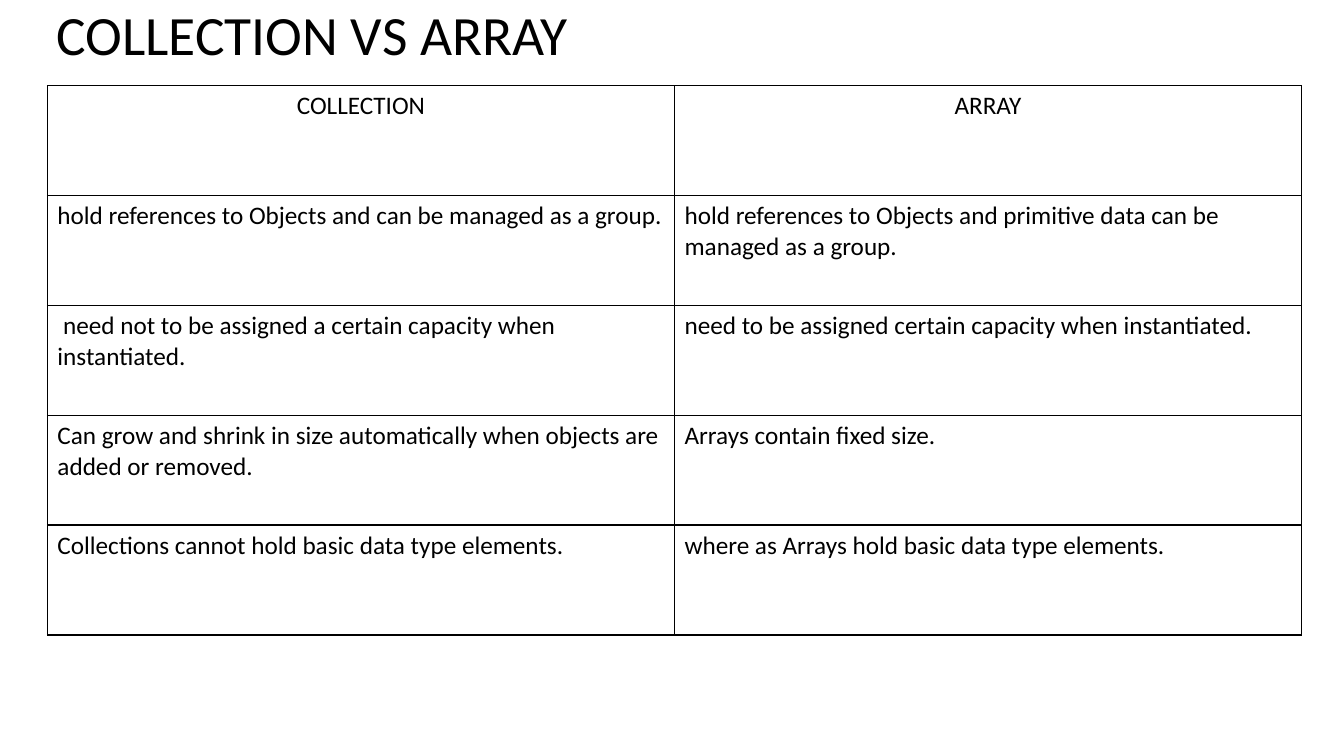
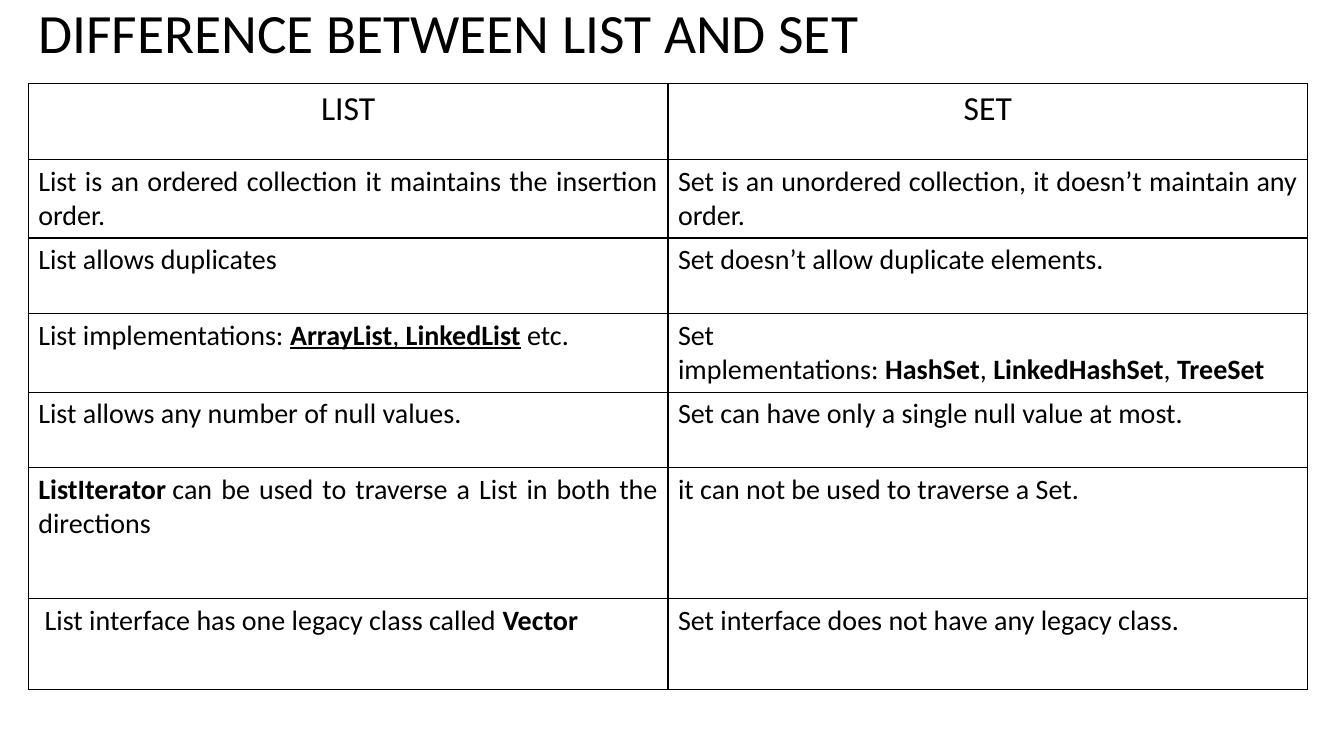
from typing import NamedTuple

from lxml import etree
from pptx import Presentation
from pptx.dml.color import RGBColor
from pptx.enum.text import MSO_ANCHOR, MSO_AUTO_SIZE, PP_ALIGN
from pptx.oxml.ns import qn
from pptx.util import Inches, Pt

BLACK = RGBColor(0x00, 0x00, 0x00)
FONT = "Calibri"
TITLE_SIZE = 39.6
BORDER_WIDTH = Pt(1)
BORDER_SIDES = ("a:lnL", "a:lnR", "a:lnT", "a:lnB")
LEFT, CENTER, JUSTIFY = PP_ALIGN.LEFT, PP_ALIGN.CENTER, PP_ALIGN.JUSTIFY
MIDDLE = MSO_ANCHOR.MIDDLE
NO_AUTOFIT = MSO_AUTO_SIZE.NONE
TITLE_ONLY = 5


class Box(NamedTuple):
    """A rectangle in inches."""
    left: float
    top: float
    width: float
    height: float

    def lengths(self):
        """Return the four sides as lengths."""
        return [Inches(side) for side in self]


class Span(NamedTuple):
    """A stretch of text with its own emphasis."""
    text: str
    bold: bool = False
    underline: bool = False


class TableStyle(NamedTuple):
    """Text sizes and body alignment of a comparison table."""
    header_size: int
    body_size: int
    body_align: int


COLLECTION_ROWS = [
    ("COLLECTION", "ARRAY"),
    ("hold references to Objects and can be managed as a group.",
     "hold references to Objects and primitive data can be managed as a group."),
    (" need not to be assigned a certain capacity when instantiated.",
     "need to be assigned certain capacity when instantiated."),
    ("Can grow and shrink in size automatically when objects are added or removed.",
     "Arrays contain fixed size."),
    ("Collections cannot hold basic data type elements.",
     "where as Arrays hold basic data type elements."),
]

LIST_ROWS = [
    ("LIST", "SET"),
    ("List is an ordered collection it maintains the insertion order.",
     "Set is an unordered collection, it doesn\u2019t maintain any order."),
    ("List allows duplicates", "Set doesn\u2019t allow duplicate elements."),
    ([Span("List implementations:\u00a0"),
      Span("ArrayList", bold=True, underline=True),
      Span(",\u00a0", underline=True),
      Span("LinkedList", bold=True, underline=True),
      Span("\u00a0etc.")],
     [Span("Set implementations:\u00a0"),
      Span("HashSet", bold=True),
      Span(",\u00a0"),
      Span("LinkedHashSet", bold=True),
      Span(",\u00a0"),
      Span("TreeSet\u00a0", bold=True)]),
    ("List allows any number of null values.",
     "Set can have only a single null value at most."),
    ([Span("ListIterator", bold=True),
      Span("\u00a0can be used to traverse a List in both the directions")],
     "it can not be used to traverse a Set.\u00a0"),
    ([Span("\u00a0List interface has one legacy class called\u00a0"),
      Span("Vector", bold=True)],
     "Set interface does not have any legacy class."),
]


def format_paragraph(para, size, align):
    """Apply the shared font and colour with the given size and alignment."""
    para.alignment = align
    para.font.name = FONT
    para.font.size = Pt(size)
    para.font.color.rgb = BLACK


def place_title(slide, text, box):
    """Move the title placeholder into the box and fill it."""
    title = slide.shapes.title
    title.left, title.top, title.width, title.height = box.lengths()
    frame = title.text_frame
    frame.text = text
    frame.word_wrap = True
    frame.auto_size = NO_AUTOFIT
    frame.vertical_anchor = MIDDLE
    para = frame.paragraphs[0]
    para.line_spacing = 0.9
    format_paragraph(para, TITLE_SIZE, LEFT)


def outline_cell(cell):
    """Draw a thin black border on all sides of a cell without fill."""
    properties = cell._tc.get_or_add_tcPr()
    for side in BORDER_SIDES:
        line = etree.SubElement(properties, qn(side), w=str(BORDER_WIDTH))
        fill = etree.SubElement(line, qn("a:solidFill"))
        etree.SubElement(fill, qn("a:srgbClr"), val=str(BLACK))
    cell.fill.background()


def fill_cell(cell, content, size, align):
    """Write plain text or a list of spans into a cell."""
    para = cell.text_frame.paragraphs[0]
    format_paragraph(para, size, align)
    spans = [Span(content)] if isinstance(content, str) else content
    for span in spans:
        run = para.add_run()
        run.text = span.text
        if span.bold:
            run.font.bold = True
        if span.underline:
            run.font.underline = True
    outline_cell(cell)


def add_comparison_table(slide, rows, row_heights, box, style):
    """Add a table with equal columns and a centred header row in the box."""
    table = slide.shapes.add_table(len(rows), len(rows[0]), *box.lengths()).table
    table.first_row = False
    table.horz_banding = False
    for row, height in zip(table.rows, row_heights):
        row.height = Inches(height)
    for row_index, contents in enumerate(rows):
        is_header = row_index == 0
        size = style.header_size if is_header else style.body_size
        align = CENTER if is_header else style.body_align
        for column_index, content in enumerate(contents):
            fill_cell(table.cell(row_index, column_index), content, size, align)


def add_comparison_slide(deck, title, title_box, rows, row_heights, corner, style):
    """Add a slide with a title and a table as wide as the title."""
    slide = deck.slides.add_slide(deck.slide_layouts[TITLE_ONLY])
    place_title(slide, title, title_box)
    table_box = Box(*corner, title_box.width, sum(row_heights))
    add_comparison_table(slide, rows, row_heights, table_box, style)


def main():
    """Build the deck and save it."""
    deck = Presentation()
    deck.slide_width, deck.slide_height = Inches(13.33), Inches(7.5)
    add_comparison_slide(
        deck, "COLLECTION VS ARRAY", Box(0.46, 0.11, 12.44, 0.52),
        COLLECTION_ROWS, [1.09] * 5, (0.47, 0.85), TableStyle(18, 18, LEFT))
    add_comparison_slide(
        deck, "DIFFERENCE BETWEEN LIST AND SET", Box(0.28, 0.11, 12.69, 0.48),
        LIST_ROWS, [0.75] * 5 + [1.3, 0.9], (0.28, 0.83), TableStyle(24, 20, JUSTIFY))
    deck.save("out.pptx")


main()
